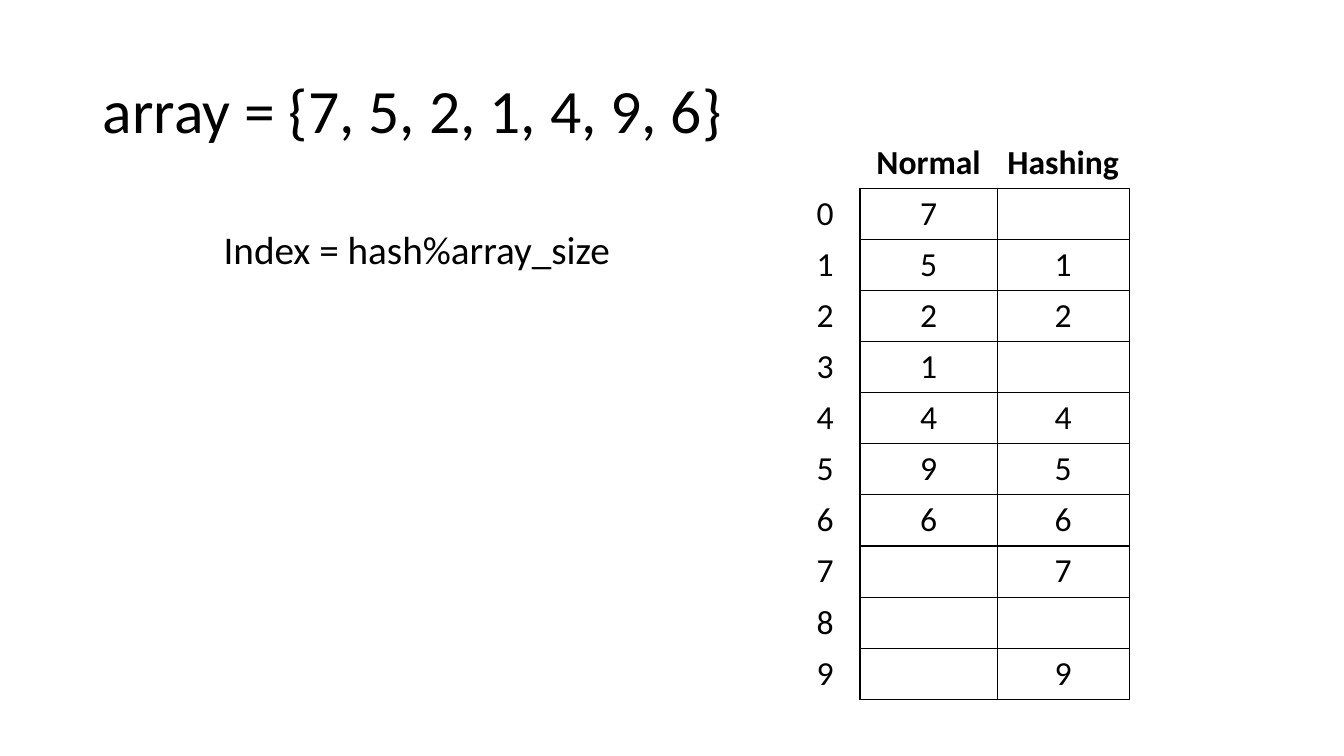
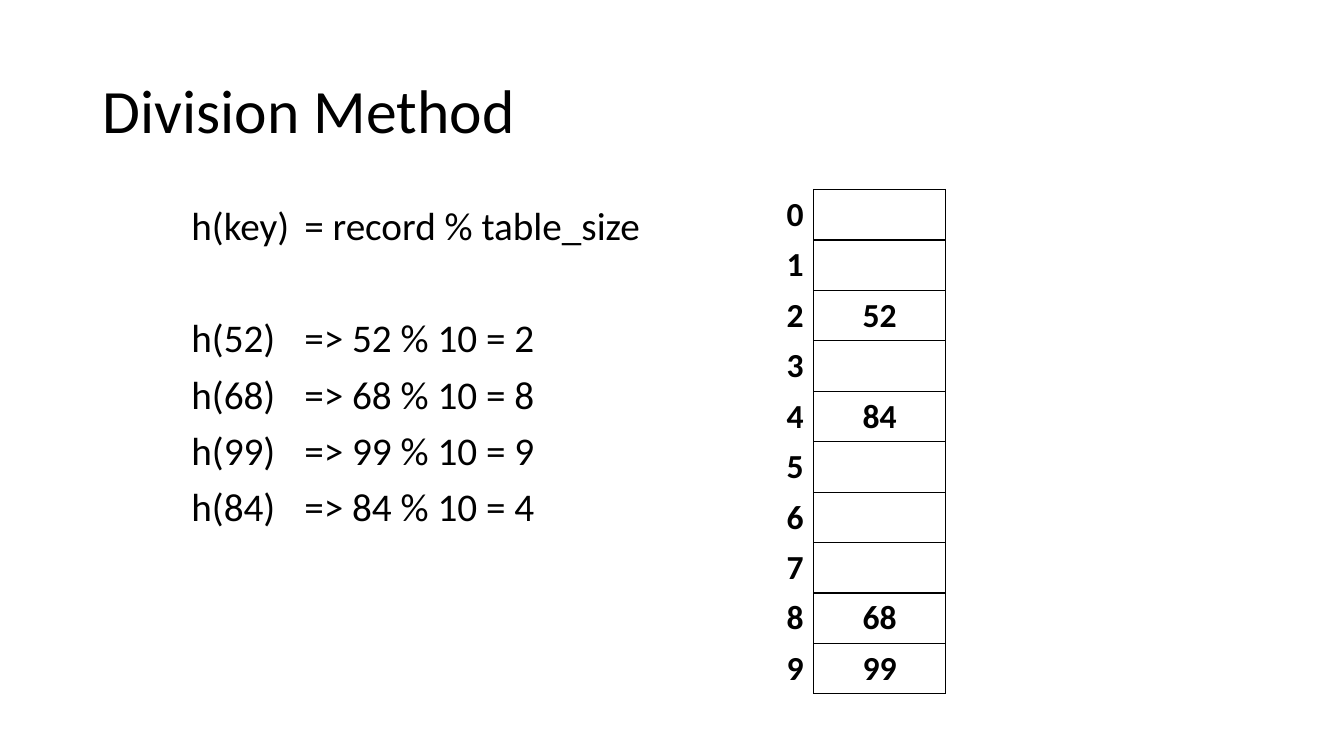
"""Build two slides that compare array storage with hashing by division."""
from lxml import etree
from pptx import Presentation
from pptx.dml.color import RGBColor
from pptx.enum.text import MSO_ANCHOR as Anchor, MSO_AUTO_SIZE as AutoSize, PP_ALIGN as Align
from pptx.oxml import parse_xml
from pptx.oxml.ns import nsdecls, qn
from pptx.util import Inches, Pt

COLORS = {"ink": "000000"}
FONT = "Calibri"
NO_STYLE = "{2D5ABB26-0587-4C30-8999-92F81FD0307C}"
TABLE_SIZE = 10
ROW_HEIGHT = 0.5
INDEX_WIDTH = 0.53


def write(para, text, size, bold=False, **layout):
    """Put text in a paragraph with the shared font and the given layout."""
    for name, value in layout.items():
        setattr(para, name, value)
    span = para.add_run()
    span.text = text
    for name, value in {"name": FONT, "size": Pt(size), "bold": bold}.items():
        setattr(span.font, name, value)
    span.font.color.rgb = RGBColor.from_string(COLORS["ink"])


def add_grid(page, left, top, widths, rows, index_align, bold, header_rows=0):
    """Add a table whose first column holds indexes outside the ruled cells."""
    frame = page.shapes.add_table(len(rows), len(widths), Inches(left), Inches(top),
                                  Inches(sum(widths)), Inches(ROW_HEIGHT * len(rows)))
    table = frame.table
    table.first_row = table.horz_banding = False
    frame._element.find(".//" + qn("a:tableStyleId")).text = NO_STYLE
    for column, width in zip(table.columns, widths):
        column.width = Inches(width)
    for r, row in enumerate(rows):
        is_header = r < header_rows
        for c, value in enumerate(row):
            cell = table.cell(r, c)
            if is_header:
                sides = "B" if c else ""
            else:
                sides = "LRTB" if c else "R"
            properties = cell._tc.get_or_add_tcPr()
            for side in sides:
                line = etree.SubElement(properties, qn("a:ln" + side), w=str(Pt(1)))
                fill = etree.SubElement(line, qn("a:solidFill"))
                etree.SubElement(fill, qn("a:srgbClr"), val=COLORS["ink"])
            cell.fill.background()
            if value != "":
                write(cell.text_frame.paragraphs[0], str(value), 24, bold or is_header,
                      alignment=Align.CENTER if c else index_align)


deck = Presentation()
deck.slide_width, deck.slide_height = Inches(13.33), Inches(7.5)
pages = []
for heading in ("array = {7, 5, 2, 1, 4, 9, 6}", "Division Method"):
    page = deck.slides.add_slide(deck.slide_layouts[5])
    title = page.shapes.title
    place = {"left": 0.92, "top": 0.4, "width": 11.5, "height": 1.45}
    for name, value in place.items():
        setattr(title, name, Inches(value))
    title.text_frame.vertical_anchor = Anchor.MIDDLE
    title.text_frame.auto_size = AutoSize.NONE
    write(title.text_frame.paragraphs[0], heading, 44, alignment=Align.LEFT, line_spacing=0.9)
    pages.append(page)
array_page, division_page = pages

values = [7, 5, 2, 1, 4, 9, 6]
rows = [["", "Normal", "Hashing"]]
for index in range(TABLE_SIZE):
    normal = values[index] if index < len(values) else ""
    rows.append([index, normal, index if index in values else ""])
add_grid(array_page, 8, 1.36, [INDEX_WIDTH, 1.36, 1.31], rows, Align.LEFT, False, header_rows=1)

box = array_page.shapes.add_textbox(Inches(2.12), Inches(2.19), Inches(6.67), Inches(0.57))
box.text_frame.word_wrap = True
write(box.text_frame.paragraphs[0], "Index = hash%array_size", 28)

keys = [52, 68, 99, 84]
lines = ["h(key)\t= record % table_size"]
lines += [f"h({key})\t=> {key} % {TABLE_SIZE} = {key % TABLE_SIZE}" for key in keys]
box = division_page.shapes.add_textbox(Inches(1.8), Inches(2), Inches(5.74), Inches(4.76))
box.text_frame.word_wrap = True
for number, line in enumerate(lines):
    para = box.text_frame.paragraphs[0] if number == 0 else box.text_frame.add_paragraph()
    para._p.get_or_add_pPr().append(parse_xml(
        f'<a:tabLst {nsdecls("a")}><a:tab pos="{Inches(1.12)}" algn="l"/></a:tabLst>'))
    gap = {0: 0, 1: 50}.get(number, 10)
    write(para, line, 28, line_spacing=0.9, space_before=Pt(gap))

slots = {key % TABLE_SIZE: key for key in keys}
rows = [[index, slots.get(index, "")] for index in range(TABLE_SIZE)]
add_grid(division_page, 7.54, 1.88, [INDEX_WIDTH, 1.31], rows, Align.RIGHT, True)

deck.save("out.pptx")
